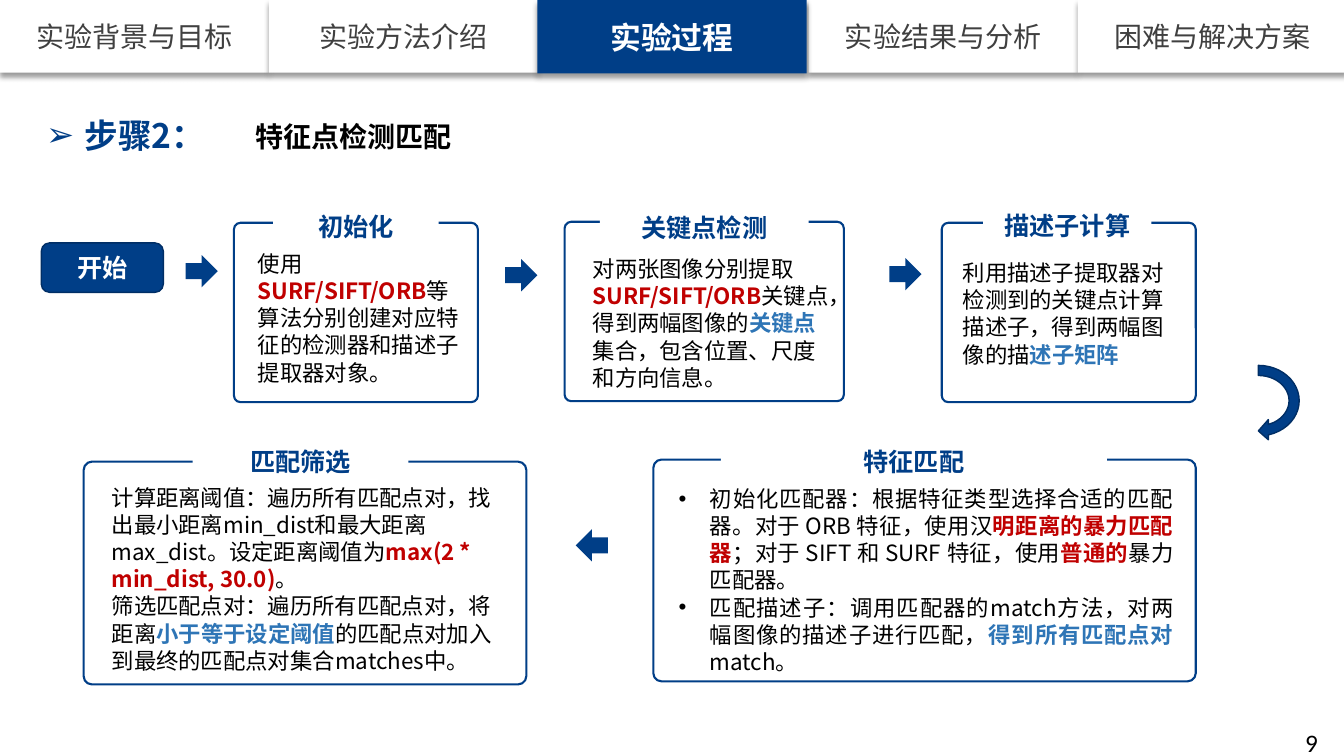
"""Build the slide on step 2, the detection and matching of feature points."""
from lxml import etree
from pptx import Presentation
from pptx.dml.color import RGBColor
from pptx.enum.shapes import MSO_SHAPE
from pptx.enum.text import MSO_ANCHOR, MSO_AUTO_SIZE, PP_ALIGN
from pptx.oxml.ns import qn
from pptx.util import Pt

PX = 9144
FONT = "Noto Sans CJK SC"
NAVY, EDGE, RED, SKY = "003E87", "002E65", "C00000", "2E75B6"
BLACK, WHITE, GREY = "000000", "FFFFFF", "404040"
RECT, ROUND = MSO_SHAPE.RECTANGLE, MSO_SHAPE.ROUNDED_RECTANGLE
ARROW, CURVE = MSO_SHAPE.RIGHT_ARROW, MSO_SHAPE.CIRCULAR_ARROW
LEFT, MID, RIGHT, FULL = PP_ALIGN.LEFT, PP_ALIGN.CENTER, PP_ALIGN.RIGHT, PP_ALIGN.JUSTIFY
TOP, CENTER = MSO_ANCHOR.TOP, MSO_ANCHOR.MIDDLE
FIXED = MSO_AUTO_SIZE.NONE
rgb = RGBColor.from_string

deck = Presentation()
deck.slide_width, deck.slide_height = 1333 * PX, 750 * PX
slide = deck.slides.add_slide(deck.slide_layouts[1])
title, body = slide.placeholders


def draw(kind, box, fill=None, line=None, width=1, shade=False):
    """Add a preset shape, placed in px."""
    shape = slide.shapes.add_shape(kind, *[v * PX for v in box])
    shape.shadow.inherit = False
    if fill:
        shape.fill.solid()
        shape.fill.fore_color.rgb = rgb(fill)
    else:
        shape.fill.background()
    if line:
        shape.line.color.rgb = rgb(line)
        shape.line.width = Pt(width)
    else:
        shape.line.fill.background()
    if shade:
        effect = shape._element.spPr.find(qn("a:effectLst"))
        outer = etree.SubElement(effect, qn("a:outerShdw"), blurRad="50800",
                                 dist="38100", dir="5400000", algn="t", rotWithShape="0")
        tint = etree.SubElement(outer, qn("a:srgbClr"), val=BLACK)
        etree.SubElement(tint, qn("a:alpha"), val="40000")
    return shape


def write(shape, text, size=16, hue=BLACK, bold=False, align=LEFT, anchor=TOP,
          pad=(10, 5), font=FONT, bullet=None, indent=0):
    """Fill a shape with a string, or with paragraphs of (text, hue) runs."""
    frame = shape.text_frame
    frame.auto_size = FIXED
    frame.word_wrap = True
    frame.vertical_anchor = anchor
    frame.margin_left = frame.margin_right = pad[0] * PX
    frame.margin_top = frame.margin_bottom = pad[1] * PX
    paras = [[(text, hue)]] if isinstance(text, str) else text
    for i, runs in enumerate(paras):
        para = frame.add_paragraph() if i else frame.paragraphs[0]
        para.alignment = align
        para.line_spacing = Pt(round(size * 1.21, 1))
        para.space_before = para.space_after = Pt(0)
        if bullet:
            props = para._p.get_or_add_pPr()
            props.set("marL", str(indent * PX))
            props.set("indent", str(-indent * PX))
            etree.SubElement(props, qn("a:buFont"), typeface="Arial")
            etree.SubElement(props, qn("a:buChar"), char=bullet)
        for words, tone in runs:
            run = para.add_run()
            run.text = words
            run.font.name = font
            run.font.size = Pt(size)
            run.font.bold = bold or tone != hue
            run.font.color.rgb = rgb(tone)
            etree.SubElement(run._r.get_or_add_rPr(), qn("a:ea"), typeface=font)


tabs = ["实验背景与目标", "实验方法介绍", "实验过程", "实验结果与分析", "困难与解决方案"]
active = 2
for i, name in enumerate(tabs):
    if i != active:
        tab = draw(RECT, (round(i * 267.3), 0, 267, 72), WHITE, shade=True)
        write(tab, name, size=20, hue=GREY, align=MID, anchor=CENTER, pad=(4, 5))
tab = draw(RECT, (533, 0, 267, 73), NAVY, shade=True)
write(tab, tabs[active], size=22, hue=WHITE, bold=True, align=MID, anchor=CENTER)

for holder, box in [(title, (243, 113, 960, 60)), (body, (663, 476, 511, 200))]:
    holder.left, holder.top, holder.width, holder.height = [v * PX for v in box]
write(title, "特征点检测匹配", size=20, bold=True)
write(body, [
    [("初始化匹配器：根据特征类型选择合适的匹配器。对于 ORB 特征，使用汉", BLACK),
     ("明距离的暴力匹配器", RED), ("；对于 SIFT 和 SURF 特征，使用", BLACK),
     ("普通的", RED), ("暴力匹配器。", BLACK)],
    [("匹配描述子：调用匹配器的match方法，对两幅图像的描述子进行匹配，", BLACK),
     ("得到所有匹配点对", SKY), ("match。", BLACK)],
], align=FULL, bullet="•", indent=31)

start = draw(ROUND, (41, 241, 121, 49), NAVY, EDGE)
write(start, "开始", size=18, hue=WHITE, bold=True, align=MID, anchor=CENTER)

stages = [
    ("初始化", (232, 221, 242, 178), (271, 209, 164, 30)),
    ("关键点检测", (560, 220, 277, 178), (595, 210, 207, 30)),
    ("描述子计算", (934, 221, 252, 178), (975, 208, 167, 24)),
    ("特征匹配", (648, 456, 538, 220), (715, 443, 383, 24)),
    ("匹配筛选", (83, 458, 439, 221), (191, 443, 214, 30)),
]
for name, box, head in stages:
    draw(ROUND, box, line=NAVY, width=1.5).adjustments[0] = 0.037
    write(draw(RECT, head, WHITE), name, size=18, hue=NAVY, bold=True,
          align=MID, pad=(0, 0))

notes = [
    ((246, 243, 227, 145), [
        [("使用 ", BLACK), ("SURF/SIFT/ORB", RED),
         ("等算法分别创建对应特征的检测器和描述子提取器对象。", BLACK)]]),
    ((578, 248, 258, 145), [
        [("对两张图像分别提取 ", BLACK), ("SURF/SIFT/ORB", RED),
         ("关键点，得到两幅图像的", BLACK), ("关键点", SKY),
         ("集合，包含位置、尺度和方向信息。", BLACK)]]),
    ((945, 252, 233, 125), [
        [("利用描述子提取器对检测到的关键点计算描述子，得到两幅图像的描", BLACK),
         ("述子矩阵", SKY)]]),
    ((101, 475, 404, 187), [
        [("计算距离阈值：遍历所有匹配点对，找出最小距离min_dist和最大距离max_dist。"
          "设定距离阈值为", BLACK), ("max(2 * min_dist, 30.0)", RED), ("。", BLACK)],
        [("筛选匹配点对：遍历所有匹配点对，将距离", BLACK), ("小于等于设定阈值", SKY),
         ("的匹配点对加入到最终的匹配点对集合matches中。", BLACK)]]),
]
for box, text in notes:
    write(slide.shapes.add_textbox(*[v * PX for v in box]), text)

step = slide.shapes.add_textbox(*[v * PX for v in (36, 109, 355, 50)])
write(step, "步骤2：", size=24, hue=NAVY, bold=True, bullet="➢", indent=38)
page = slide.shapes.add_textbox(*[v * PX for v in (1017, 716, 300, 32)])
write(page, "9", size=18, align=RIGHT, font="Calibri")

for left, top, turn in [(184, 253, 0), (501, 257, 0), (882, 256, 0), (571, 525, 180)]:
    draw(ARROW, (left, top, 32, 32), NAVY).rotation = turn
draw(CURVE, (1208, 352, 80, 91), NAVY, EDGE).rotation = 90

deck.save("out.pptx")
